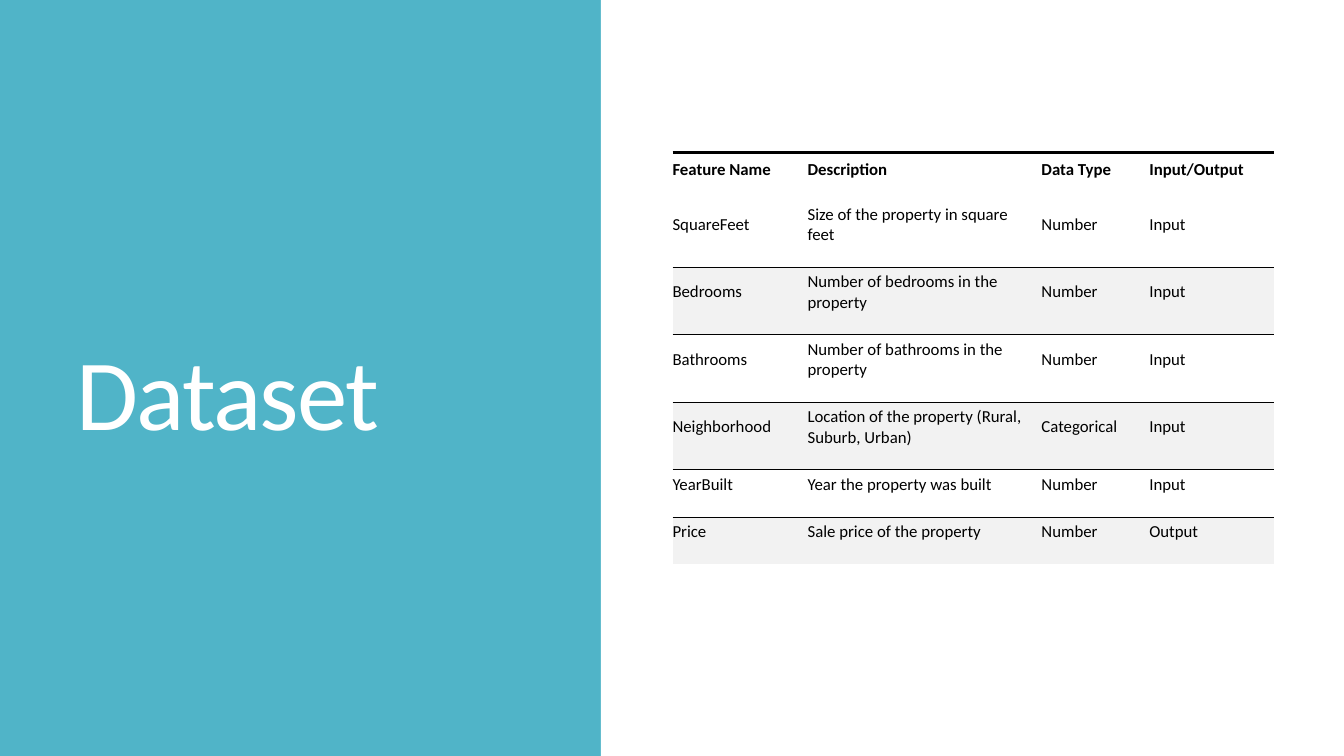
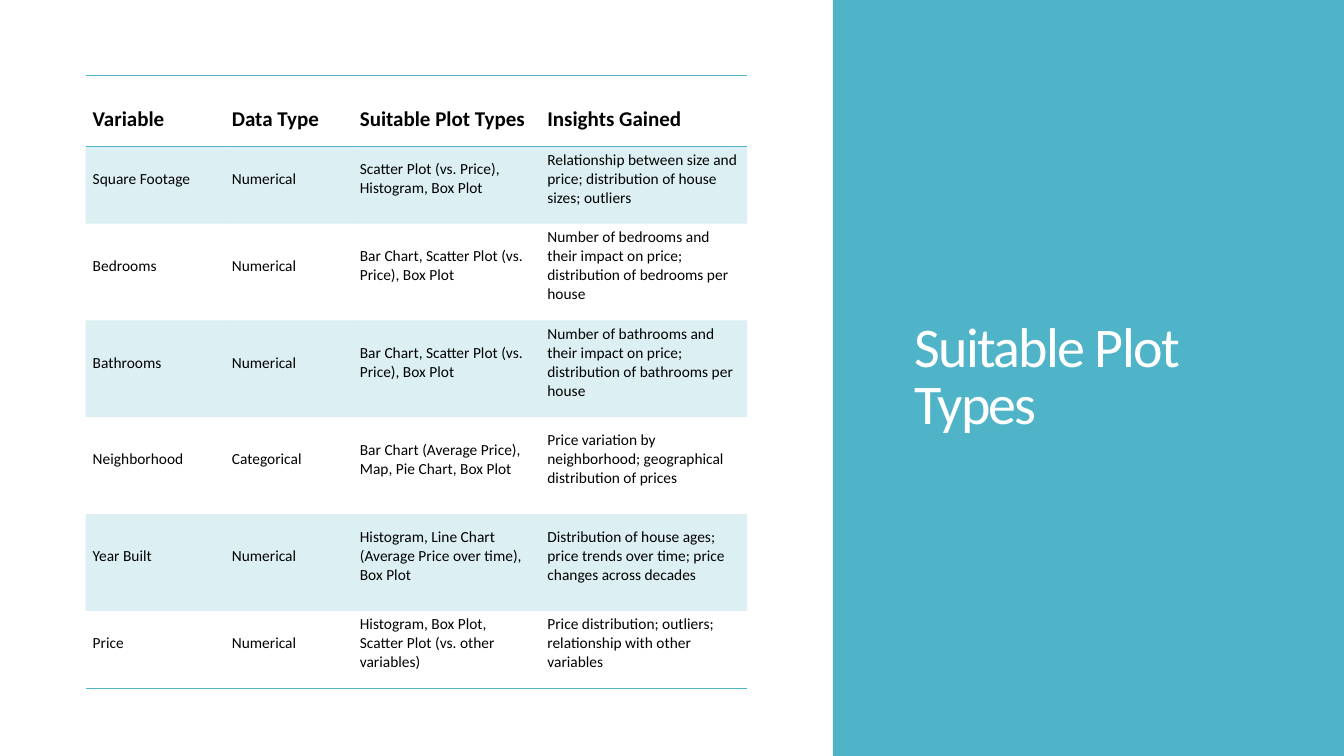
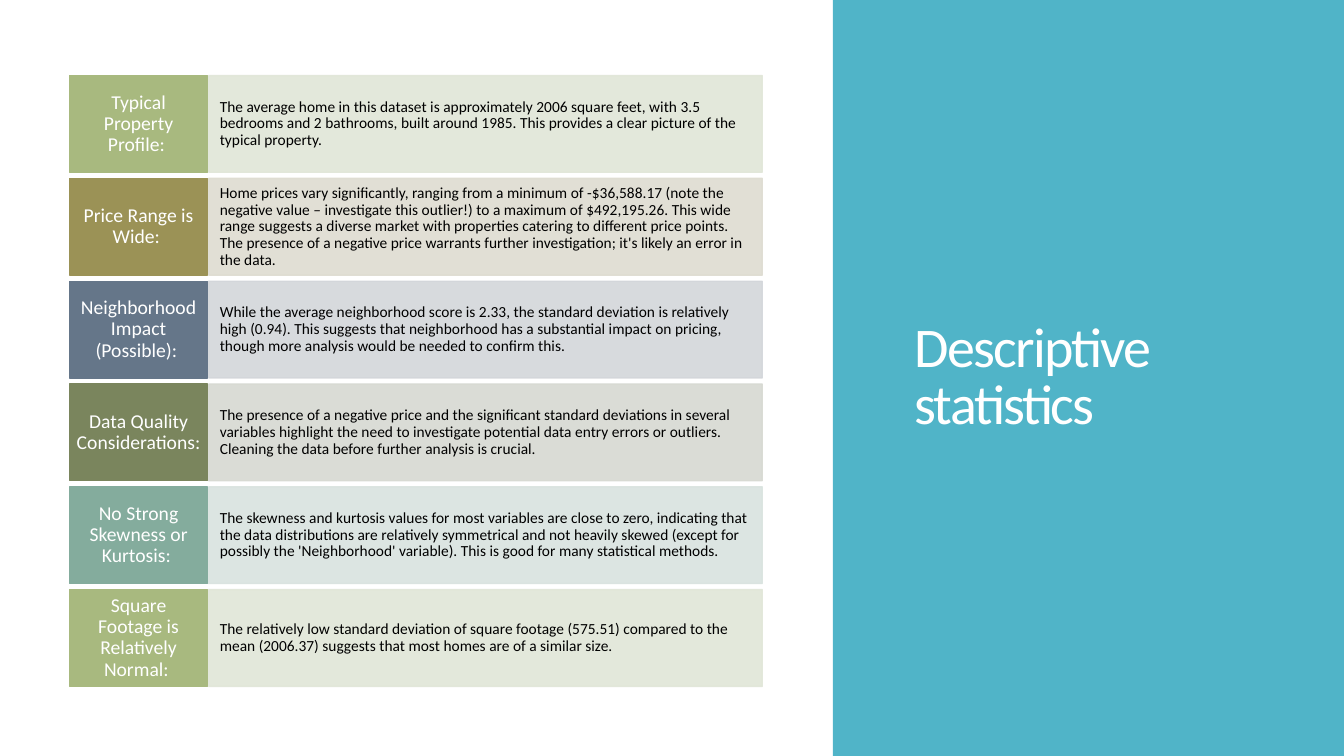
"""Build three slides on a house price dataset: features, plot types and statistics."""
from dataclasses import dataclass
from typing import Any, NamedTuple

from lxml import etree
from pptx import Presentation
from pptx.dml.color import RGBColor
from pptx.enum import shapes, text
from pptx.oxml import ns
from pptx.util import Inches, Pt

FONT = "Calibri"
TEAL = RGBColor(0x50, 0xB4, 0xC8)
WHITE = RGBColor(0xFF, 0xFF, 0xFF)
BLACK = RGBColor(0x00, 0x00, 0x00)
PALE_GREY = RGBColor(0xF2, 0xF2, 0xF2)
SAGE, PALE_SAGE = RGBColor(0xA8, 0xB9, 0x7F), RGBColor(0xE1, 0xE6, 0xD8)
OCHRE, PALE_OCHRE = RGBColor(0x9B, 0x92, 0x56), RGBColor(0xDE, 0xDC, 0xD1)
SLATE, PALE_SLATE = RGBColor(0x65, 0x76, 0x89), RGBColor(0xD3, 0xD6, 0xDA)
OLIVE, PALE_OLIVE = RGBColor(0x7A, 0x85, 0x5D), RGBColor(0xD7, 0xD9, 0xD2)
MINT, PALE_MINT = RGBColor(0x84, 0xAC, 0x9D), RGBColor(0xD9, 0xE3, 0xDF)

SLIDE_WIDTH, SLIDE_HEIGHT = 13.33, 7.5
NO_STYLE = "{2D5ABB26-0587-4C30-8999-92F81FD0307C}"
FINDING_TOP, FINDING_HEIGHT, FINDING_PITCH = 0.75, 0.96, 1.02
MIDDLE, BOTTOM = text.MSO_ANCHOR.MIDDLE, text.MSO_ANCHOR.BOTTOM
LEFT, CENTER = text.PP_ALIGN.LEFT, text.PP_ALIGN.CENTER


class Box(NamedTuple):
    left: float
    top: float
    width: float
    height: float

    def lengths(self) -> list[int]:
        return [Inches(side) for side in self]


class Insets(NamedTuple):
    left: float
    top: float
    right: float
    bottom: float


class Rule(NamedTuple):
    color: RGBColor
    width: float


class Finding(NamedTuple):
    label: str
    detail: str
    color: RGBColor
    pale: RGBColor


@dataclass(frozen=True)
class TitleStyle:
    box: Box
    size: float
    spacing: float
    anchor: Any


@dataclass(frozen=True)
class GridStyle:
    header_size: float
    body_size: float
    insets: Insets
    rule: Rule
    band: RGBColor
    band_alpha: int
    first_band: int


SIDE_BAND = Box(8.26, 0, 5.07, SLIDE_HEIGHT)
SIDE_TITLE = TitleStyle(Box(8.97, 0.7, 3.66, 6.11), 40, 0.85, MIDDLE)
COVER_TITLE = TitleStyle(Box(0.66, 0.84, 4.6, 3.67), 72, 0.8, BOTTOM)

FEATURE_STYLE = GridStyle(12, 12, Insets(0, 0.02, 0.06, 0.19), Rule(BLACK, 0.5), PALE_GREY, 100, 2)
PLOT_STYLE = GridStyle(15, 11, Insets(0.07, 0.02, 0.07, 0.14), Rule(TEAL, 1), TEAL, 20, 1)
HEAVY_RULE = Rule(BLACK, 2.25)

FEATURES = [
    ("Feature Name", "Description", "Data Type", "Input/Output"),
    ("SquareFeet", "Size of the property in square feet", "Number", "Input"),
    ("Bedrooms", "Number of bedrooms in the property", "Number", "Input"),
    ("Bathrooms", "Number of bathrooms in the property", "Number", "Input"),
    ("Neighborhood", "Location of the property (Rural, Suburb, Urban)", "Categorical", "Input"),
    ("YearBuilt", "Year the property was built", "Number", "Input"),
    ("Price", "Sale price of the property", "Number", "Output"),
]

PLOTS = [
    ("Variable", "Data Type", "Suitable Plot Types", "Insights Gained"),
    ("Square Footage", "Numerical", "Scatter Plot (vs. Price), Histogram, Box Plot",
     "Relationship between size and price; distribution of house sizes; outliers"),
    ("Bedrooms", "Numerical", "Bar Chart, Scatter Plot (vs. Price), Box Plot",
     "Number of bedrooms and their impact on price; distribution of bedrooms per house"),
    ("Bathrooms", "Numerical", "Bar Chart, Scatter Plot (vs. Price), Box Plot",
     "Number of bathrooms and their impact on price; distribution of bathrooms per house"),
    ("Neighborhood", "Categorical", "Bar Chart (Average Price), Map, Pie Chart, Box Plot",
     "Price variation by neighborhood; geographical distribution of prices"),
    ("Year Built", "Numerical", "Histogram, Line Chart (Average Price over time), Box Plot",
     "Distribution of house ages; price trends over time; price changes across decades"),
    ("Price", "Numerical", "Histogram, Box Plot, Scatter Plot (vs. other variables)",
     "Price distribution; outliers; relationship with other variables"),
]

FINDINGS = [
    Finding("Typical Property Profile: ",
            "The average home in this dataset is approximately 2006 square feet, with 3.5 bedrooms "
            "and 2 bathrooms, built around 1985. This provides a clear picture of the typical property.",
            SAGE, PALE_SAGE),
    Finding("Price Range is Wide: ",
            "Home prices vary significantly, ranging from a minimum of -$36,588.17 (note the negative "
            "value – investigate this outlier!) to a maximum of $492,195.26. This wide range suggests "
            "a diverse market with properties catering to different price points. The presence of a "
            "negative price warrants further investigation; it's likely an error in the data.",
            OCHRE, PALE_OCHRE),
    Finding("Neighborhood Impact (Possible): ",
            "While the average neighborhood score is 2.33, the standard deviation is relatively high "
            "(0.94). This suggests that neighborhood has a substantial impact on pricing, though more "
            "analysis would be needed to confirm this.",
            SLATE, PALE_SLATE),
    Finding("Data Quality Considerations: ",
            "The presence of a negative price and the significant standard deviations in several "
            "variables highlight the need to investigate potential data entry errors or outliers. "
            "Cleaning the data before further analysis is crucial.",
            OLIVE, PALE_OLIVE),
    Finding("No Strong Skewness or Kurtosis: ",
            "The skewness and kurtosis values for most variables are close to zero, indicating that "
            "the data distributions are relatively symmetrical and not heavily skewed (except for "
            "possibly the 'Neighborhood' variable). This is good for many statistical methods.",
            MINT, PALE_MINT),
    Finding("Square Footage is Relatively Normal: ",
            "The relatively low standard deviation of square footage (575.51) compared to the mean "
            "(2006.37) suggests that most homes are of a similar size.",
            SAGE, PALE_SAGE),
]


def set_alpha(properties: Any, percent: int) -> None:
    for color in properties.iter(ns.qn("a:srgbClr")):
        etree.SubElement(color, ns.qn("a:alpha"), val=str(percent * 1000))


def set_insets(holder: Any, insets: Insets) -> None:
    holder.margin_left, holder.margin_top, holder.margin_right, holder.margin_bottom = (
        Inches(side) for side in insets)


def add_run(paragraph: Any, words: str, size: float, color: RGBColor, bold: bool = False) -> Any:
    run = paragraph.add_run()
    run.text = words
    run.font.name = FONT
    run.font.size = Pt(size)
    run.font.bold = bold
    run.font.color.rgb = color
    return run


def add_panel(slide: Any, box: Box, color: RGBColor) -> Any:
    panel = slide.shapes.add_shape(shapes.MSO_SHAPE.RECTANGLE, *box.lengths())
    panel.shadow.inherit = False
    panel.fill.solid()
    panel.fill.fore_color.rgb = color
    panel.line.fill.background()
    return panel


def add_title(slide: Any, words: str, style: TitleStyle) -> None:
    frame = slide.shapes.add_textbox(*style.box.lengths()).text_frame
    frame.word_wrap = True
    frame.vertical_anchor = style.anchor
    paragraph = frame.paragraphs[0]
    paragraph.line_spacing = style.spacing
    run = add_run(paragraph, words, style.size, WHITE)
    run.font._element.set("spc", "-120")


def add_slide(prs: Any, background: RGBColor) -> Any:
    slide = prs.slides.add_slide(prs.slide_layouts[6])
    slide.background.fill.solid()
    slide.background.fill.fore_color.rgb = background
    return slide


def add_side_slide(prs: Any, title: str) -> Any:
    slide = add_slide(prs, WHITE)
    add_panel(slide, SIDE_BAND, TEAL)
    add_title(slide, title, SIDE_TITLE)
    return slide


def add_border(cell: Any, edge: str, rule: Rule) -> None:
    line = etree.SubElement(cell._tc.get_or_add_tcPr(), ns.qn(f"a:ln{edge}"),
                            w=str(Pt(rule.width)), cap="flat", cmpd="sng", algn="ctr")
    fill = etree.SubElement(line, ns.qn("a:solidFill"))
    etree.SubElement(fill, ns.qn("a:srgbClr"), val=str(rule.color))


def add_grid(slide: Any, left: float, top: float, widths: list[float], heights: list[float],
             rows: list[tuple[str, ...]], style: GridStyle,
             borders: dict[int, dict[str, Rule]]) -> None:
    box = Box(left, top, sum(widths), sum(heights))
    frame = slide.shapes.add_table(len(rows), len(widths), *box.lengths())
    for style_id in frame.element.iter(ns.qn("a:tableStyleId")):
        style_id.text = NO_STYLE
    table = frame.table
    table.first_row = table.horz_banding = False
    for column, width in zip(table.columns, widths):
        column.width = Inches(width)
    for index, (row, height, entries) in enumerate(zip(table.rows, heights, rows)):
        row.height = Inches(height)
        is_header = index == 0
        is_band = not is_header and index % 2 == style.first_band % 2
        for cell, words in zip(row.cells, entries):
            for edge, rule in borders.get(index, {}).items():
                add_border(cell, edge, rule)
            if is_band:
                cell.fill.solid()
                cell.fill.fore_color.rgb = style.band
                if style.band_alpha < 100:
                    set_alpha(cell._tc.tcPr.find(ns.qn("a:solidFill")), style.band_alpha)
            else:
                cell.fill.background()
            set_insets(cell, style.insets)
            cell.vertical_anchor = BOTTOM if is_header else MIDDLE
            size = style.header_size if is_header else style.body_size
            add_run(cell.text_frame.paragraphs[0], words, size, BLACK, is_header)


def add_block(slide: Any, box: Box, fill: RGBColor, words: str, size: float,
              color: RGBColor, insets: Insets, align: Any, alpha: int = 100) -> None:
    block = add_panel(slide, box, fill)
    block.line.color.rgb = fill
    block.line.width = Pt(1)
    if alpha < 100:
        set_alpha(block.element.spPr, alpha)
    frame = block.text_frame
    frame.word_wrap = True
    frame.vertical_anchor = MIDDLE
    set_insets(frame, insets)
    paragraph = frame.paragraphs[0]
    paragraph.alignment = align
    paragraph.line_spacing = 0.9
    add_run(paragraph, words, size, color)


def build_dataset(prs: Any) -> None:
    slide = add_slide(prs, TEAL)
    add_panel(slide, Box(0, 0, SLIDE_WIDTH, SLIDE_HEIGHT), TEAL)
    add_title(slide, "Dataset", COVER_TITLE)
    add_panel(slide, Box(5.96, 0, 7.37, SLIDE_HEIGHT), WHITE)
    borders = {index: {"T": FEATURE_STYLE.rule} for index in range(2, len(FEATURES), 2)}
    borders[0] = {"T": HEAVY_RULE}
    add_grid(slide, 6.67, 1.51, [1.34, 2.32, 1.07, 1.24], [0.47] + [0.67] * 4 + [0.47] * 2,
             FEATURES, FEATURE_STYLE, borders)


def build_plot_types(prs: Any) -> None:
    slide = add_side_slide(prs, "Suitable Plot Types")
    rule = PLOT_STYLE.rule
    borders = {0: {"T": rule, "B": rule}, len(PLOTS) - 1: {"B": rule}}
    add_grid(slide, 0.85, 0.75, [1.38, 1.27, 1.86, 2.05], [0.7, 0.77] + [0.96] * 4 + [0.77],
             PLOTS, PLOT_STYLE, borders)


def build_statistics(prs: Any) -> None:
    slide = add_side_slide(prs, "Descriptive statistics")
    for index, finding in enumerate(FINDINGS):
        top = FINDING_TOP + index * FINDING_PITCH
        add_block(slide, Box(2.07, top, 5.49, FINDING_HEIGHT), finding.pale, finding.detail,
                  11, BLACK, Insets(0.11, 0.24, 0.11, 0.24), LEFT, alpha=90)
        add_block(slide, Box(0.69, top, 1.37, FINDING_HEIGHT), finding.color, finding.label,
                  14, WHITE, Insets(0.07, 0.1, 0.07, 0.1), CENTER)


def main() -> None:
    prs = Presentation()
    prs.slide_width, prs.slide_height = Inches(SLIDE_WIDTH), Inches(SLIDE_HEIGHT)
    build_dataset(prs)
    build_plot_types(prs)
    build_statistics(prs)
    prs.save("out.pptx")


if __name__ == "__main__":
    main()
